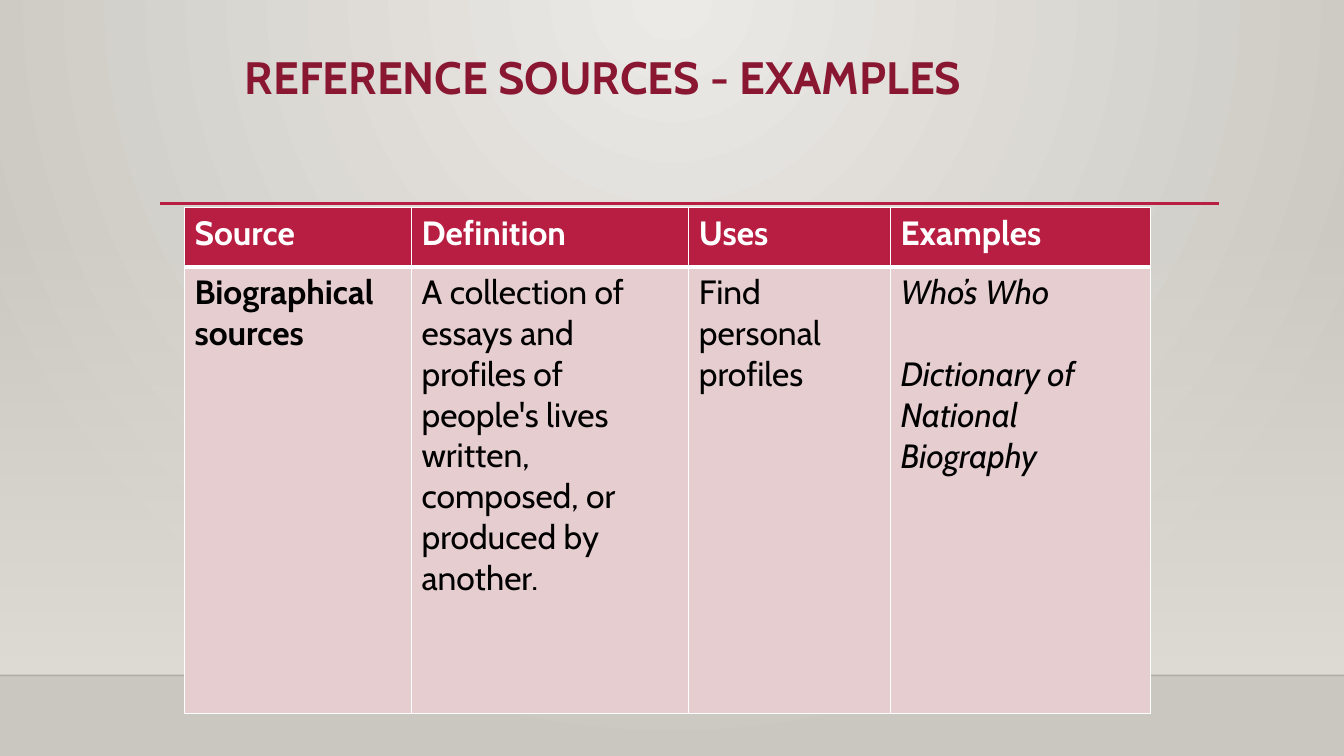
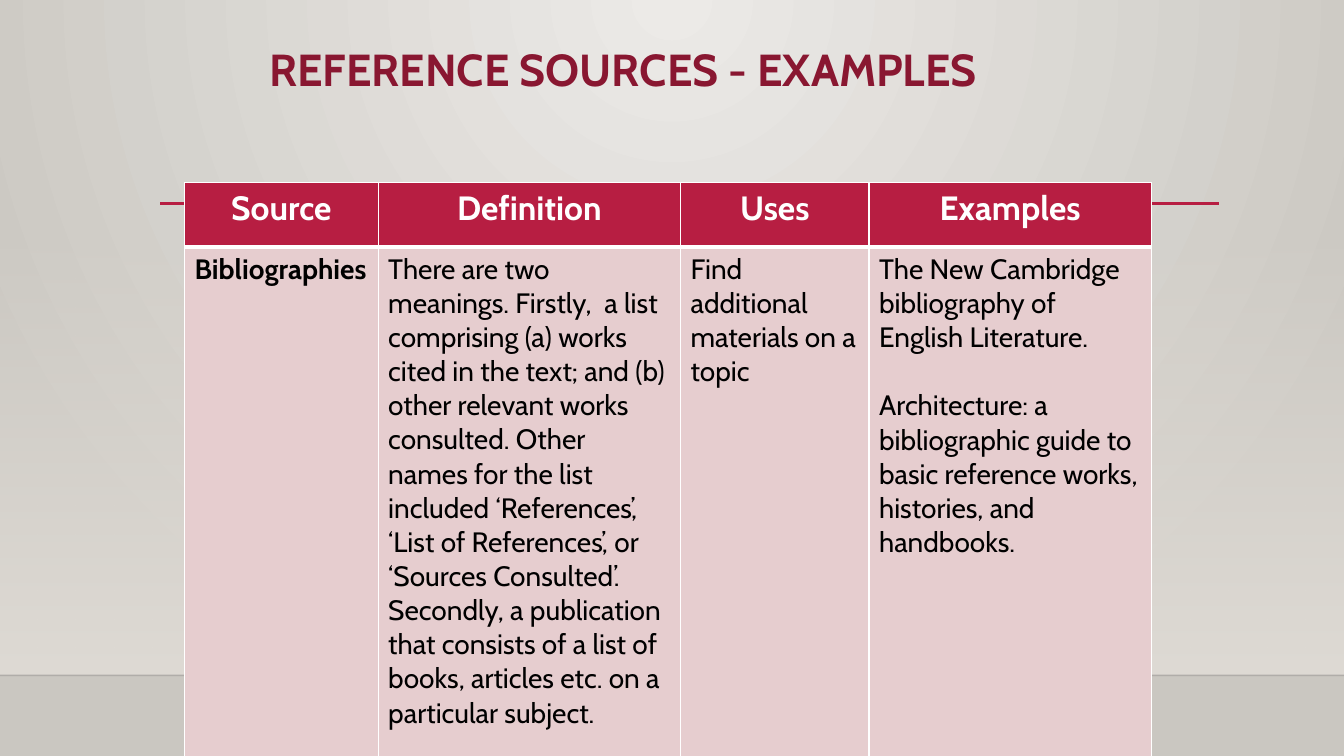
from pptx import Presentation
from pptx.dml.color import RGBColor as RGB
from pptx.enum.shapes import MSO_CONNECTOR as LINK, MSO_SHAPE as SHAPE
from pptx.enum.text import MSO_ANCHOR as ANCHOR, MSO_AUTO_SIZE as FIT, PP_ALIGN as ALIGN
from pptx.oxml import parse_xml
from pptx.oxml.ns import nsdecls, qn
from pptx.util import Cm, Pt

FONT = "Cabin"
HUES = {"red": "B71E42", "wine": "891731", "pink": "E6CDCF", "white": "FFFFFF",
        "ink": "000000", "edge": "000001", "light": "ECEAE7", "dark": "CAC7C1",
        "sand": "DFDBD5"}
HEADS = ["Source", "Definition", "Uses", "Examples"]

# One entry per slide: lengths in cm, sizes in points
PAGES = [
    {"title": (5.92, 1.27, 22.02, 2.97), "size": 32.4, "top": 5.23,
     "cols": [5.72, 6.99, 5.08, 6.55], "rows": [1.5, 11.25],
     "align": ALIGN.LEFT, "body": 24, "italic": True,
     "cells": ["Biographical sources",
               "A collection of essays and profiles of people's lives written, "
               "composed, or produced by another.",
               "Find personal profiles",
               "Who’s Who\nDictionary of National Biography"]},
    {"title": (6.53, 1.07, 20.96, 2.54), "size": 32, "top": 4.6,
     "cols": [4.88, 7.62, 4.75, 7.11], "rows": [1.63, 13.8],
     "align": ALIGN.CENTER, "body": 20, "italic": False,
     "cells": ["Bibliographies",
               "There are two meanings. Firstly,  a list comprising (a) works cited "
               "in the text; and (b) other relevant works consulted. Other names for "
               "the list included ‘References’,  ‘List of References’, or "
               "‘Sources Consulted’.\n"
               "Secondly, a publication that consists of a list of books, articles "
               "etc. on a particular subject.",
               "Find additional materials on a topic",
               "The New Cambridge bibliography of English Literature.\n"
               "Architecture: a bibliographic guide to basic reference works, "
               "histories, and handbooks."]},
]


def style(par, size, hue, bold=False, italic=False):
    for run in par.runs:
        font = run.font
        font.name, font.size = FONT, Pt(size)
        font.bold, font.italic = bold, italic
        font.color.rgb = RGB.from_string(HUES[hue])


def fade(part, share):
    tint = next(part.iter(qn("a:srgbClr")))
    tint.append(parse_xml(f'<a:alpha {nsdecls("a")} val="{share * 1000}"/>'))


deck = Presentation()
deck.slide_width, deck.slide_height = Cm(33.87), Cm(19.05)
plan = deck.slide_layouts[5]
slides = [deck.slides.add_slide(plan) for page in PAGES]

# Shared background: a glow from the top centre
fill = plan.background.fill
fill.gradient()
for stop, hue in zip(fill.gradient_stops, ["light", "dark"]):
    stop.color.rgb = RGB.from_string(HUES[hue])
lin = next(plan.element.iter(qn("a:lin")))
lin.getparent().replace(lin, parse_xml(
    f'<a:path {nsdecls("a")} path="circle">'
    '<a:fillToRect l="43000" t="0" r="43000" b="100000"/></a:path>'))

# Shared band and rules, drawn on a slide and moved to the layout
pen = slides[0].shapes
band = pen.add_shape(SHAPE.RECTANGLE, 0, Cm(5.61), Cm(33.87), Cm(11.41))
band.shadow.inherit = False
band.line.fill.background()
band.fill.gradient()
band.fill.gradient_angle = 270
for stop in band.fill.gradient_stops:
    stop.color.rgb = RGB.from_string(HUES["sand"])
fade(band.element, 0)
plan.shapes.element.append(band.element)

for left, right, y, hue, width, share in [(0, 33.87, 17.02, "edge", 1, 20),
                                          (4.04, 30.73, 5.13, "red", 2.5, 100)]:
    rule = pen.add_connector(LINK.STRAIGHT, Cm(left), Cm(y), Cm(right), Cm(y))
    rule.line.color.rgb = RGB.from_string(HUES[hue])
    rule.line.width = Pt(width)
    fade(rule.element, share)
    rule.element.spPr.append(parse_xml(f'<a:effectLst {nsdecls("a")}/>'))
    plan.shapes.element.append(rule.element)

for slide, page in zip(slides, PAGES):
    # Title
    title = slide.shapes.title
    title.left, title.top, title.width, title.height = map(Cm, page["title"])
    frame = title.text_frame
    frame.text = "REFERENCE SOURCES - EXAMPLES"
    frame.auto_size, frame.vertical_anchor = FIT.NONE, ANCHOR.TOP
    par = frame.paragraphs[0]
    par.alignment, par.line_spacing = ALIGN.LEFT, 0.9
    style(par, page["size"], "wine", bold=True)

    # Table
    grid = slide.shapes.add_table(2, 4, Cm(4.65), Cm(page["top"]),
                                  Cm(sum(page["cols"])), Cm(sum(page["rows"]))).table
    grid.horz_banding = False
    for col, width in zip(grid.columns, page["cols"]):
        col.width = Cm(width)
    for row, height in zip(grid.rows, page["rows"]):
        row.height = Cm(height)

    for r, texts in enumerate([HEADS, page["cells"]]):
        for c, text in enumerate(texts):
            cell = grid.cell(r, c)
            cell.text_frame.text = text
            cell.fill.solid()
            cell.fill.fore_color.rgb = RGB.from_string(HUES["pink" if r else "red"])
            for n, par in enumerate(cell.text_frame.paragraphs):
                if r == 0:
                    par.alignment = page["align"]
                    style(par, 24, "white", bold=True)
                else:
                    style(par, page["body"], "ink", c == 0, c == 3 and page["italic"])
                    if n and c == 3:
                        par.space_before = Pt(page["body"] * 1.22)

            # White borders, thick between the two rows
            thick = "T" if r else "B"
            for n, side in enumerate("LRTB"):
                wide = Pt(3 if side == thick else 1)
                cell._tc.get_or_add_tcPr().insert(n, parse_xml(
                    f'<a:ln{side} {nsdecls("a")} w="{wide}"><a:solidFill>'
                    f'<a:srgbClr val="{HUES["white"]}"/></a:solidFill></a:ln{side}>'))

deck.save("out.pptx")
